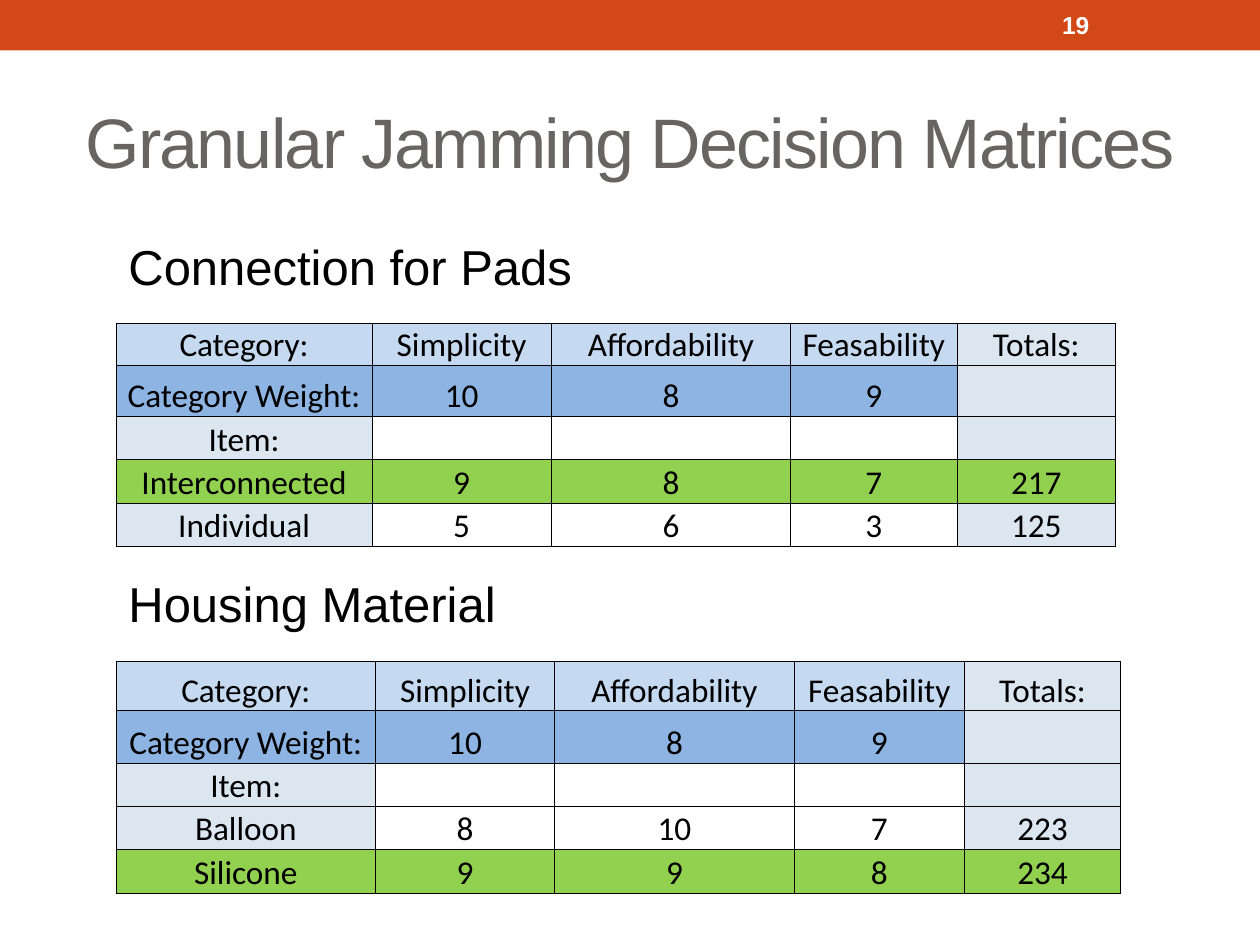
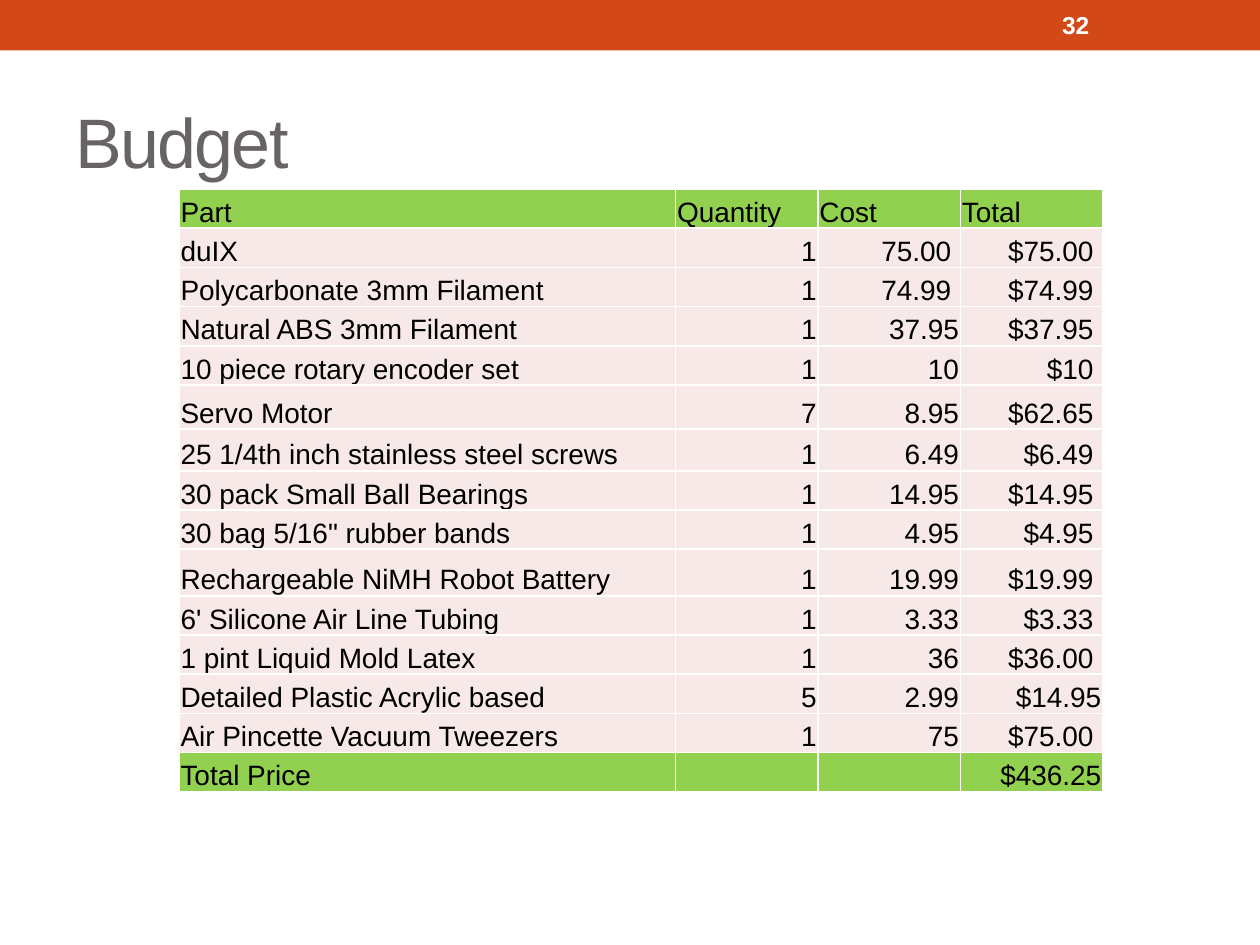
from dataclasses import dataclass
from typing import Callable, Optional

from lxml import etree
from pptx import Presentation
from pptx.dml.color import RGBColor
from pptx.enum.shapes import MSO_SHAPE
from pptx.enum.text import MSO_ANCHOR, MSO_AUTO_SIZE, PP_ALIGN
from pptx.oxml.ns import qn
from pptx.util import Cm, Pt

RECTANGLE = MSO_SHAPE.RECTANGLE
MIDDLE, BOTTOM, TOP = MSO_ANCHOR.MIDDLE, MSO_ANCHOR.BOTTOM, MSO_ANCHOR.TOP
LEFT, CENTER, RIGHT = PP_ALIGN.LEFT, PP_ALIGN.CENTER, PP_ALIGN.RIGHT
NO_AUTOFIT = MSO_AUTO_SIZE.NONE

COLORS = {
    "band": "D34817",
    "title": "696464",
    "black": "000000",
    "white": "FFFFFF",
    "category": "C5D9F1",
    "weight": "8DB4E2",
    "label": "DCE6F1",
    "highlight": "92D050",
    "part": "F7E9E8",
}

TITLE_FONT = {"name": "Arial", "size": Pt(40), "bold": False}
NUMBER_FONT = {"name": "Arial", "size": Pt(14), "bold": True}
HEADING_FONT = {"name": "Arial", "size": Pt(28)}
MATRIX_FONT = {"name": "Calibri", "size": Pt(19)}
BUDGET_FONT = {"name": "Arial", "size": Pt(16)}
CELL_FORMAT = {
    "margin_left": Cm(0.03),
    "margin_right": Cm(0.03),
    "margin_top": Cm(0.03),
    "margin_bottom": Cm(0),
    "vertical_anchor": BOTTOM,
}
BORDER_SIDES = ("a:lnL", "a:lnR", "a:lnT", "a:lnB")


@dataclass
class Box:
    left: float
    top: float
    width: float
    height: float

    def lengths(self) -> tuple:
        return Cm(self.left), Cm(self.top), Cm(self.width), Cm(self.height)


@dataclass
class TableStyle:
    font: dict
    border_color: str
    border_width: float
    fill: Callable[[int, int], Optional[str]]
    alignment: Callable[[int, int], PP_ALIGN]


@dataclass
class Matrix:
    heading: str
    heading_box: Box
    left: float
    top: float
    widths: list
    heights: list
    items: list
    winner: int


BAND = Box(0, 0, 25.4, 1.02)
TITLE = Box(1.27, 1.47, 22.86, 2.74)
NUMBER = Box(21.16, 0.05, 2.97, 0.91)

MATRIX_HEADER = [
    ["Category:", "Simplicity", "Affordability", "Feasability", "Totals:"],
    ["Category Weight:", "10", "8", "9", ""],
    ["Item:", "", "", "", ""],
]

MATRICES = [
    Matrix(
        "Connection for Pads", Box(2.34, 4.65, 10.59, 1.45), 2.34, 6.52,
        [5.16, 3.61, 4.83, 3.35, 3.2], [0.85, 1.03, 0.87, 0.88, 0.87],
        [["Interconnected", "9", "8", "7", "217"],
         ["Individual", "5", "6", "3", "125"]],
        winner=3,
    ),
    Matrix(
        "Housing Material", Box(2.34, 11.43, 8.89, 1.45), 2.34, 13.34,
        [5.23, 3.61, 4.83, 3.43, 3.15], [0.99, 1.05, 0.87, 0.88, 0.87],
        [["Balloon", "8", "10", "7", "223"],
         ["Silicone", "9", "9", "8", "234"]],
        winner=4,
    ),
]

BUDGET_ROWS = [
    ["Part", "Quantity", "Cost", "Total"],
    ["duIX", "1", "75.00 ", "$75.00 "],
    ["Polycarbonate 3mm Filament", "1", "74.99 ", "$74.99 "],
    ["Natural ABS 3mm Filament", "1", "37.95", "$37.95 "],
    ["10 piece rotary encoder set", "1", "10", "$10 "],
    ["Servo Motor", "7", "8.95", "$62.65 "],
    ["25 1/4th inch stainless steel screws", "1", "6.49", "$6.49 "],
    ["30 pack Small Ball Bearings", "1", "14.95", "$14.95 "],
    ["30 bag 5/16\" rubber bands", "1", "4.95", "$4.95 "],
    ["Rechargeable NiMH Robot Battery", "1", "19.99", "$19.99 "],
    ["6' Silicone Air Line Tubing", "1", "3.33", "$3.33 "],
    ["1 pint Liquid Mold Latex", "1", "36", "$36.00 "],
    ["Detailed Plastic Acrylic based", "5", "2.99", "$14.95"],
    ["Air Pincette Vacuum Tweezers", "1", "75", "$75.00 "],
    ["Total Price", "", "", "$436.25"],
]
BUDGET_WIDTHS = [10.01, 2.87, 2.87, 2.87]
BUDGET_ROW_HEIGHT = 0.79
BUDGET_TALL_ROWS = {5: 0.89, 6: 0.84, 9: 0.94}


def color(name: str) -> RGBColor:
    return RGBColor.from_string(COLORS[name])


def apply_format(target, values: dict) -> None:
    for name, value in values.items():
        setattr(target, name, value)


def write_text(text_frame, text: str, font: dict, color_name: str, alignment=LEFT):
    paragraph = text_frame.paragraphs[0]
    paragraph.alignment = alignment
    run = paragraph.add_run()
    run.text = text
    apply_format(run.font, font)
    run.font.color.rgb = color(color_name)
    return run


def add_text(slide, box: Box, text: str, font: dict, color_name: str, anchor) -> None:
    text_frame = slide.shapes.add_textbox(*box.lengths()).text_frame
    apply_format(text_frame, {"word_wrap": True, "vertical_anchor": anchor})
    write_text(text_frame, text, font, color_name)


def add_titled_slide(presentation, title: str, number: str, alignment):
    slide = presentation.slides.add_slide(presentation.slide_layouts[5])
    band = slide.shapes.add_shape(RECTANGLE, *BAND.lengths())
    band.shadow.inherit = False
    band.fill.solid()
    band.fill.fore_color.rgb = color("band")
    band.line.fill.background()

    placeholder = slide.shapes.title
    positions = zip(("left", "top", "width", "height"), TITLE.lengths())
    apply_format(placeholder, dict(positions))
    text_frame = placeholder.text_frame
    apply_format(text_frame, {
        "word_wrap": True, "vertical_anchor": MIDDLE, "auto_size": NO_AUTOFIT,
    })
    run = write_text(text_frame, title, TITLE_FONT, "title", alignment)
    run.font._element.set("spc", "-100")

    add_text(slide, NUMBER, number, NUMBER_FONT, "white", MIDDLE)
    return slide


def set_borders(cell, color_name: str, width: float) -> None:
    properties = cell._tc.get_or_add_tcPr()
    for index, side in enumerate(BORDER_SIDES):
        line = etree.Element(qn(side), w=str(Pt(width)))
        fill = etree.SubElement(line, qn("a:solidFill"))
        etree.SubElement(fill, qn("a:srgbClr"), val=COLORS[color_name])
        properties.insert(index, line)


def add_styled_table(slide, left: float, top: float, widths: list, heights: list,
                     rows: list, style: TableStyle) -> None:
    box = Box(left, top, sum(widths), sum(heights))
    table = slide.shapes.add_table(len(rows), len(widths), *box.lengths()).table
    apply_format(table, {"first_row": False, "horz_banding": False})
    for column, width in zip(table.columns, widths):
        column.width = Cm(width)
    for table_row, height in zip(table.rows, heights):
        table_row.height = Cm(height)
    for row, texts in enumerate(rows):
        for column, text in enumerate(texts):
            cell = table.cell(row, column)
            apply_format(cell, CELL_FORMAT)
            fill_name = style.fill(row, column)
            if fill_name:
                cell.fill.solid()
                cell.fill.fore_color.rgb = color(fill_name)
            else:
                cell.fill.background()
            set_borders(cell, style.border_color, style.border_width)
            if text:
                write_text(cell.text_frame, text, style.font, "black",
                           style.alignment(row, column))


def add_matrix(slide, matrix: Matrix) -> None:
    last_column = len(matrix.widths) - 1

    def fill(row: int, column: int) -> Optional[str]:
        if row == matrix.winner:
            return "highlight"
        if row < 2 and column < last_column:
            return ("category", "weight")[row]
        return "label" if column in (0, last_column) else None

    style = TableStyle(MATRIX_FONT, "black", 0.5, fill, lambda row, column: CENTER)
    add_text(slide, matrix.heading_box, matrix.heading, HEADING_FONT, "black", TOP)
    add_styled_table(slide, matrix.left, matrix.top, matrix.widths, matrix.heights,
                     MATRIX_HEADER + matrix.items, style)


def add_budget(slide) -> None:
    last_row = len(BUDGET_ROWS) - 1
    heights = [BUDGET_TALL_ROWS.get(row, BUDGET_ROW_HEIGHT)
               for row in range(len(BUDGET_ROWS))]
    style = TableStyle(
        BUDGET_FONT, "white", 1,
        lambda row, column: "highlight" if row in (0, last_row) else "part",
        lambda row, column: RIGHT if row and column else LEFT,
    )
    add_styled_table(slide, 3.61, 3.81, BUDGET_WIDTHS, heights, BUDGET_ROWS, style)


def main() -> None:
    presentation = Presentation()
    presentation.slide_width = Cm(25.4)
    presentation.slide_height = Cm(19.05)

    matrix_slide = add_titled_slide(
        presentation, "Granular Jamming Decision Matrices", "19", CENTER)
    for matrix in MATRICES:
        add_matrix(matrix_slide, matrix)

    add_budget(add_titled_slide(presentation, "Budget", "32", LEFT))
    presentation.save("out.pptx")


if __name__ == "__main__":
    main()
